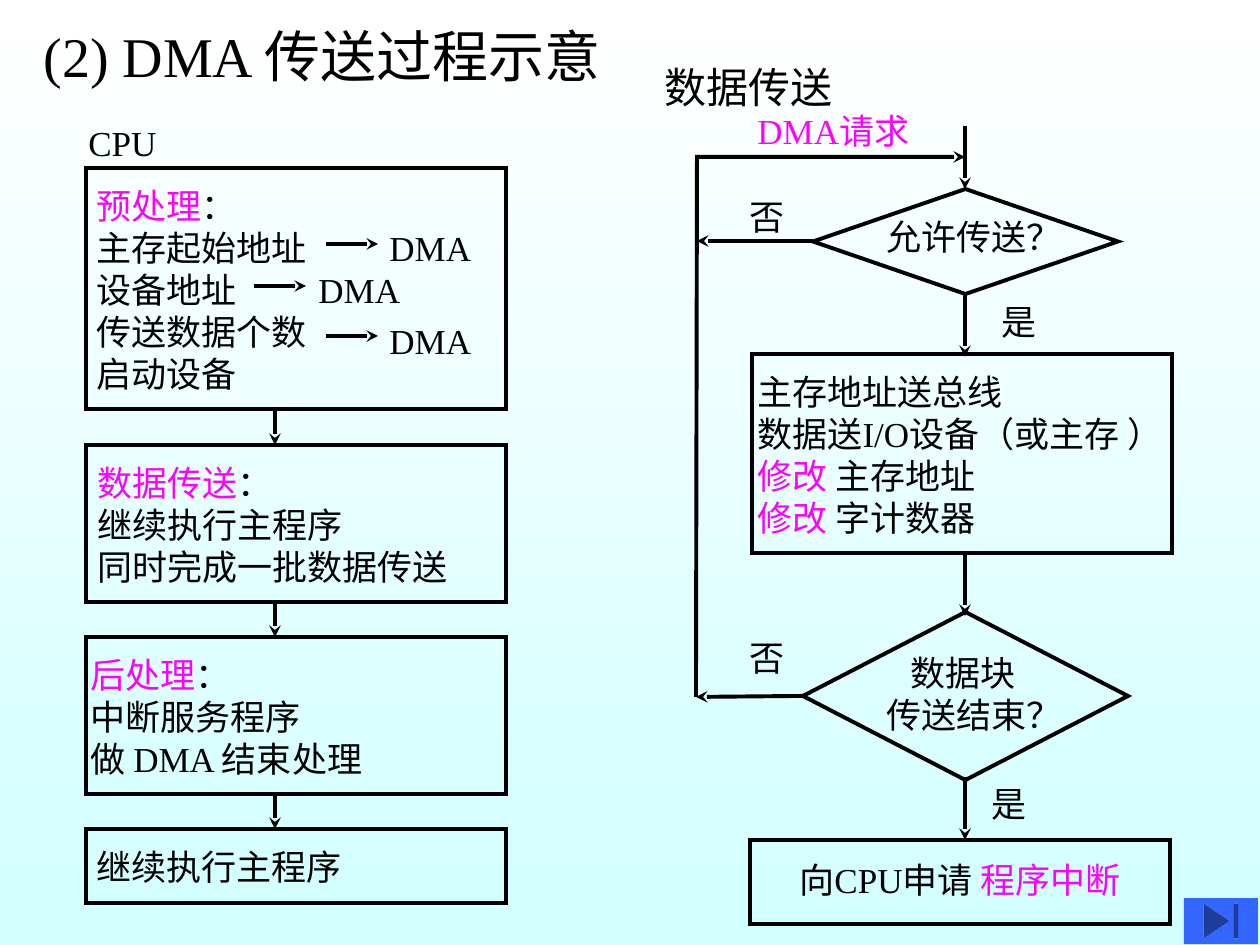
import pptx
import pptx.dml.color
import pptx.enum.shapes
import pptx.enum.text
import pptx.oxml
import pptx.oxml.ns
import pptx.util

SHAPE = pptx.enum.shapes.MSO_SHAPE
EMU_PER_PX = 914400 / 126
BLACK, PINK, BLUE = "000000", "FF00FF", "3366FF"


def px(length):
    return pptx.util.Emu(round(length * EMU_PER_PX))


def color(hex_code):
    return pptx.dml.color.RGBColor.from_string(hex_code)


def apply(target, formats):
    for name, value in formats.items():
        setattr(target, name, value)


def element(tag, attributes=""):
    return pptx.oxml.parse_xml(f"<a:{tag} {pptx.oxml.ns.nsdecls('a')} {attributes}/>")


class FlowSlide:
    """Holds the diagram style and the slide being drawn."""

    frame_format = {
        "word_wrap": True,
        "auto_size": pptx.enum.text.MSO_AUTO_SIZE.NONE,
        "vertical_anchor": pptx.enum.text.MSO_ANCHOR.TOP,
    }
    line_width = pptx.util.Pt(2.25)
    text_slack = 8  # spare width that keeps each line whole

    def __init__(self, slide):
        self.slide = slide
        self.shapes = slide.shapes

    def background(self, top, bottom):
        fill = self.slide.background.fill
        fill.gradient()
        fill.gradient_angle = 270
        for stop, hex_code, position in zip(fill.gradient_stops, (top, bottom), (0, 1)):
            stop.color.rgb = color(hex_code)
            stop.position = position

    def text(self, left, top, width, height, lines, size=20, indent=0):
        """Write one paragraph per line; parts between asterisks are pink."""
        frame = self.shapes.add_textbox(
            px(left), px(top), px(width + self.text_slack), px(height)).text_frame
        apply(frame, self.frame_format)
        for number, line in enumerate(lines):
            paragraph = frame.add_paragraph() if number else frame.paragraphs[0]
            if number == 0 and indent:
                paragraph._p.get_or_add_pPr().set("marL", str(px(indent)))
            for part, words in enumerate(line.split("*")):
                if words:
                    run = paragraph.add_run()
                    run.text = words
                    apply(run.font, {"name": "Times New Roman", "size": pptx.util.Pt(size)})
                    run.font.color.rgb = color(PINK if part % 2 else BLACK)

    def stroke(self, shape, arrow=False):
        shape.line.width = self.line_width
        shape.line.color.rgb = color(BLACK)
        line = shape.line._get_or_add_ln()
        line.append(element("miter", 'lim="800000"'))
        if arrow:
            line.append(element("tailEnd", 'type="stealth"'))

    def outline(self, kind, left, top, width, height):
        shape = self.shapes.add_shape(kind, px(left), px(top), px(width), px(height))
        shape.shadow.inherit = False
        shape.fill.background()
        self.stroke(shape)

    def arrow(self, x1, y1, x2, y2):
        connector = self.shapes.add_connector(
            pptx.enum.shapes.MSO_CONNECTOR.STRAIGHT, px(x1), px(y1), px(x2), px(y2))
        self.stroke(connector, arrow=True)
        connector._element.spPr.append(element("effectLst"))

    def bent_arrow(self, start, *points):
        builder = self.shapes.build_freeform(*start, scale=EMU_PER_PX)
        builder.add_line_segments(points, close=False)
        shape = builder.convert_to_shape()
        shape.shadow.inherit = False
        shape.fill.background()
        self.stroke(shape, arrow=True)

    def button(self, kind, left, top, width, height):
        shape = self.shapes.add_shape(kind, px(left), px(top), px(width), px(height))
        shape.shadow.inherit = False
        shape.fill.solid()
        shape.fill.fore_color.rgb = color(BLUE)
        shape.line.fill.background()


def main():
    presentation = pptx.Presentation()
    apply(presentation, {"slide_width": px(1260), "slide_height": px(945)})
    flow = FlowSlide(presentation.slides.add_slide(presentation.slide_layouts[6]))
    flow.background("FFFFFF", "D2FFFF")

    # Headings
    flow.text(31, 15, 640, 81, ["(2) DMA 传送过程示意"], size=32)
    flow.text(76, 115, 93, 55, ["CPU"])
    flow.text(652, 55, 193, 63, ["数据传送"], size=24)

    # CPU steps: box top and height, then text left, top, width and lines
    cpu_steps = [
        (168, 241, 84, 178, 236,
         ["*预处理*：", "主存起始地址", "设备地址", "传送数据个数", "启动设备"]),
        (445, 157, 85, 455, 375, ["*数据传送*：", "继续执行主程序", "同时完成一批数据传送"]),
        (637, 157, 78, 647, 315, ["*后处理*：", "中断服务程序", "做 DMA 结束处理"]),
        (829, 74, 84, 839, 271, ["继续执行主程序"]),
    ]
    for top, height, text_left, text_top, text_width, lines in cpu_steps:
        flow.outline(SHAPE.RECTANGLE, 86, top, 420, height)
        flow.text(text_left, text_top, text_width, 13 + 42 * len(lines), lines)
    for top, *_ in cpu_steps[1:]:
        flow.arrow(275, top - 36, 275, top)

    # Values handed to the DMA registers
    for arrow_left, arrow_y, label_left, label_top in [
            (326, 244, 377, 220), (254, 286, 306, 262), (326, 336, 377, 313)]:
        flow.arrow(arrow_left, arrow_y, arrow_left + 52, arrow_y)
        flow.text(label_left, label_top, 107, 55, ["DMA"])

    # Transfer loop: decisions and actions
    flow.outline(SHAPE.DIAMOND, 813, 189, 305, 105)
    flow.outline(SHAPE.RECTANGLE, 752, 354, 420, 199)
    flow.outline(SHAPE.DIAMOND, 803, 612, 325, 168)
    flow.outline(SHAPE.RECTANGLE, 750, 840, 420, 84)
    flow.text(874, 209, 200, 55, ["允许传送？"])
    flow.text(745, 364, 447, 181,
              ["主存地址送总线", "数据送I/O设备（或主存 ）", "*修改* 主存地址", "*修改* 字计数器"])
    flow.text(874, 645, 200, 97, ["数据块", "传送结束？"], indent=24)
    flow.text(787, 852, 363, 55, ["向CPU申请 *程序中断*"])

    # Transfer loop: arrows
    for top in (126, 294, 553, 777):
        flow.arrow(965, top, 965, top + 63)
    flow.arrow(813, 241, 697, 241)
    flow.bent_arrow((803, 696), (696, 697))
    flow.bent_arrow((696, 697), (697, 157), (965, 157))

    # Transfer loop: labels
    flow.text(745, 103, 185, 55, ["*DMA请求*"])
    for left, top, answer in [
            (737, 189, "否"), (737, 630, "否"), (989, 294, "是"), (979, 776, "是")]:
        flow.text(left, top, 60, 55, [answer])

    # Navigation
    flow.button(SHAPE.ACTION_BUTTON_END, 1184, 898, 74, 46)

    presentation.save("out.pptx")


if __name__ == "__main__":
    main()
